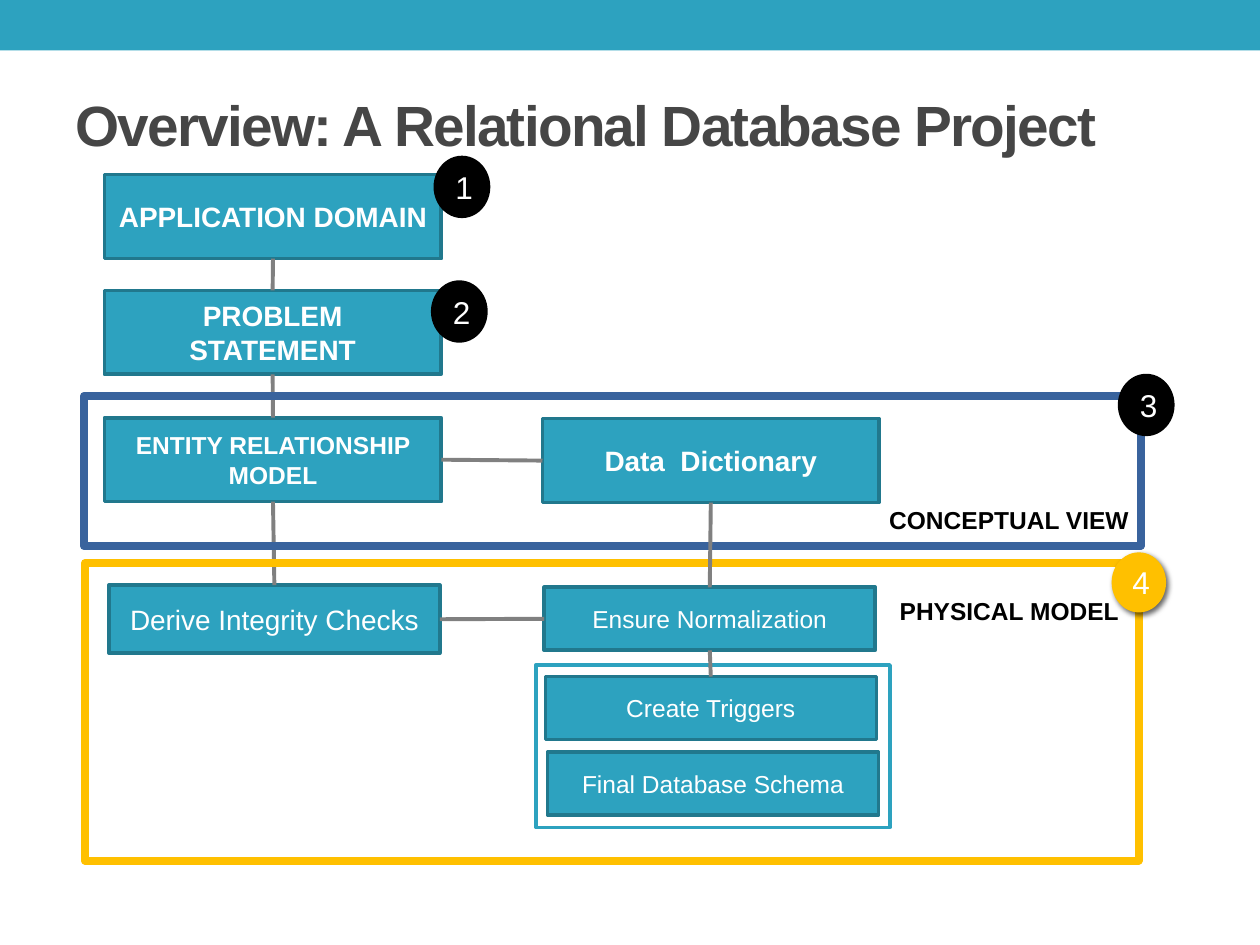
from lxml.etree import SubElement
from pptx import Presentation
from pptx.dml.color import RGBColor
from pptx.enum.shapes import MSO_CONNECTOR, MSO_SHAPE
from pptx.enum.text import MSO_ANCHOR, MSO_AUTO_SIZE, PP_ALIGN
from pptx.oxml import parse_xml
from pptx.oxml.ns import nsdecls, qn
from pptx.util import Pt

TEAL = RGBColor(0x2D, 0xA2, 0xBF)
DARK_TEAL = RGBColor(0x21, 0x78, 0x8D)
BLUE = RGBColor(0x39, 0x63, 0x9D)
AMBER = RGBColor(0xFF, 0xC0, 0x00)
GRAY = RGBColor(0x80, 0x80, 0x80)
TITLE_GRAY = RGBColor(0x46, 0x46, 0x46)
BLACK = RGBColor(0, 0, 0)
WHITE = RGBColor(0xFF, 0xFF, 0xFF)
TOP, LEFT, BOTTOM, RIGHT = range(4)
STAGE_SIZE = (192.4, 48)
STEP_SIZE = (189.2, 36)


def write(frame, text, size, color, bold=False, align=PP_ALIGN.LEFT):
    """Put one formatted paragraph into a text frame."""
    frame.text = text
    paragraph = frame.paragraphs[0]
    paragraph.alignment = align
    font = paragraph.runs[0].font
    font.name, font.size, font.bold = "Arial", Pt(size), bold
    font.color.rgb = color


def add_outline(slide, kind, bounds, fill, line, weight):
    """Add a preset shape without shadow; None means no fill or no line."""
    shape = slide.shapes.add_shape(kind, *map(Pt, bounds))
    shape.shadow.inherit = False
    if fill is None:
        shape.fill.background()
    else:
        shape.fill.solid()
        shape.fill.fore_color.rgb = fill
    if line is None:
        shape.line.fill.background()
    else:
        shape.line.color.rgb = line
        shape.line.width = Pt(weight)
    return shape


def add_frame(slide, bounds, line, weight, fill=None):
    """Add a rectangle that groups boxes."""
    return add_outline(slide, MSO_SHAPE.RECTANGLE, bounds, fill, line, weight)


def add_box(slide, text, position, extent, size, bold=False):
    """Add a teal process box with centred text."""
    box = add_outline(slide, MSO_SHAPE.RECTANGLE, position + extent, TEAL, DARK_TEAL, 2.08)
    box.text_frame.vertical_anchor = MSO_ANCHOR.MIDDLE
    write(box.text_frame, text, size, WHITE, bold, PP_ALIGN.CENTER)
    return box


def add_badge(slide, number, left, top, color, weight=2.08):
    """Add a numbered ellipse."""
    bounds = (left, top, 30.4, 33.6)
    badge = add_outline(slide, MSO_SHAPE.OVAL, bounds, color, color, weight)
    badge.text_frame.vertical_anchor = MSO_ANCHOR.MIDDLE
    write(badge.text_frame, number, 18, WHITE, align=PP_ALIGN.CENTER)
    return badge


def add_drop_shadow(shape):
    """Give a shape a soft black shadow to the lower right."""
    effects = shape._element.spPr.find(qn("a:effectLst"))
    effects.append(parse_xml(
        f'<a:outerShdw {nsdecls("a")} blurRad="{Pt(3)}" dist="{Pt(2)}" dir="2700000" '
        'rotWithShape="0"><a:srgbClr val="000000"><a:alpha val="60000"/></a:srgbClr>'
        '</a:outerShdw>'))


def join(slide, start, start_side, end, end_side):
    """Connect the side middles of two boxes with a gray line."""
    link = slide.shapes.add_connector(MSO_CONNECTOR.STRAIGHT, 0, 0, 0, 0)
    link.begin_connect(start, start_side)
    link.end_connect(end, end_side)
    link.line.color.rgb = GRAY
    link.line.width = Pt(2.25)
    SubElement(link._element.spPr, qn("a:effectLst"))


def add_label(slide, text, bounds):
    """Add a bold black caption on one line."""
    frame = slide.shapes.add_textbox(*map(Pt, bounds)).text_frame
    frame.word_wrap = False
    frame.auto_size = MSO_AUTO_SIZE.SHAPE_TO_FIT_TEXT
    write(frame, text, 14, BLACK, True)


def format_title(slide, text):
    """Place and format the slide title."""
    title = slide.shapes.title
    title.left, title.top, title.width, title.height = map(Pt, (36, 42, 648, 57.6))
    frame = title.text_frame
    frame.auto_size = MSO_AUTO_SIZE.NONE
    frame.vertical_anchor = MSO_ANCHOR.MIDDLE
    write(frame, text, 32.4, TITLE_GRAY, True)
    frame.paragraphs[0].runs[0].font._element.set("spc", "-100")


def main():
    """Build the database project overview."""
    presentation = Presentation()
    presentation.slide_width, presentation.slide_height = Pt(720), Pt(540)
    slide = presentation.slides.add_slide(presentation.slide_layouts[5])

    add_frame(slide, (0, 0, 720, 28.8), None, 0, TEAL)
    add_frame(slide, (306.2, 380, 202.4, 92.8), TEAL, 2.08, WHITE)
    format_title(slide, "Overview: A Relational Database Project")

    normalization = add_box(slide, "Ensure Normalization", (311, 335.6), STEP_SIZE, 14)
    integrity = add_box(slide, "Derive Integrity Checks", (62.3, 334.4), (189, 38.9), 16)
    domain = add_box(slide, "APPLICATION DOMAIN", (59.8, 99.8), STAGE_SIZE, 16, True)
    problem = add_box(slide, "PROBLEM STATEMENT", (59.6, 165.9), STAGE_SIZE, 16, True)
    entity = add_box(slide, "ENTITY RELATIONSHIP MODEL", (59.8, 238.7), STAGE_SIZE, 14, True)
    dictionary = add_box(slide, "Data  Dictionary", (310, 239.2), STAGE_SIZE, 16, True)

    join(slide, domain, BOTTOM, problem, TOP)
    join(slide, problem, BOTTOM, entity, TOP)
    join(slide, entity, RIGHT, dictionary, LEFT)
    join(slide, entity, BOTTOM, integrity, TOP)

    add_frame(slide, (48.5, 321.8, 602.2, 170), AMBER, 4.5)
    add_frame(slide, (48, 226.2, 603.8, 85.8), BLUE, 4.5)
    add_label(slide, "CONCEPTUAL VIEW", (501, 285, 152.6, 24.2))
    add_label(slide, "PHYSICAL MODEL", (507, 337, 140.4, 24.2))
    join(slide, dictionary, BOTTOM, normalization, TOP)

    for number, left, top in (("1", 248.8, 90), ("2", 247.3, 161.2), ("3", 639.8, 214.6)):
        add_badge(slide, number, left, top, BLACK)

    triggers = add_box(slide, "Create Triggers", (311.6, 386.6), STEP_SIZE, 14)
    join(slide, integrity, RIGHT, normalization, LEFT)
    join(slide, normalization, BOTTOM, triggers, TOP)
    add_drop_shadow(add_badge(slide, "4", 635.6, 316, AMBER, 0.75))
    add_box(slide, "Final Database Schema", (312.9, 429.8), STEP_SIZE, 14)

    presentation.save("out.pptx")


if __name__ == "__main__":
    main()
